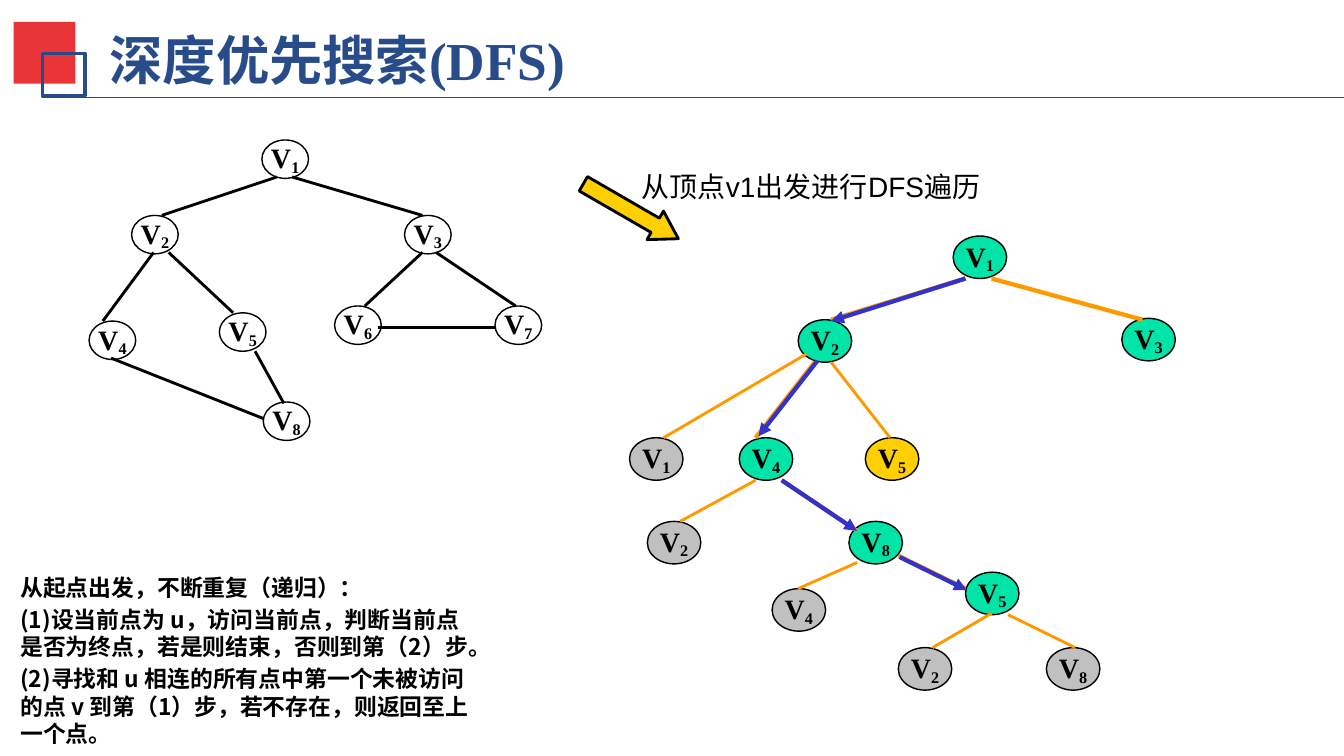
from lxml import etree
from pptx import Presentation
from pptx.dml.color import RGBColor
from pptx.enum.shapes import MSO_CONNECTOR, MSO_SHAPE
from pptx.enum.text import MSO_ANCHOR, MSO_AUTO_SIZE, PP_ALIGN
from pptx.oxml.ns import qn
from pptx.util import Inches, Pt

RECTANGLE, OVAL, RIGHT_ARROW = MSO_SHAPE.RECTANGLE, MSO_SHAPE.OVAL, MSO_SHAPE.RIGHT_ARROW
STRAIGHT = MSO_CONNECTOR.STRAIGHT
MIDDLE, TOP = MSO_ANCHOR.MIDDLE, MSO_ANCHOR.TOP
CENTER, LEFT = PP_ALIGN.CENTER, PP_ALIGN.LEFT
NO_AUTOFIT = MSO_AUTO_SIZE.NONE

COLORS = {
    "navy": "284C8A", "red": "E93538", "black": "000000", "white": "FFFFFF",
    "visited": "00E4A8", "repeated": "C0C0C0", "pending": "FFCF01",
    "branch": "FF9900", "route": "3333CC",
}
SERIF, SANS, CJK = "Times New Roman", "Arial", "Noto Sans CJK SC"

GRAPH_NODES = [
    (1, 1.91, 1.02), (2, 0.96, 1.57), (3, 2.95, 1.57), (4, 0.65, 2.34),
    (5, 1.6, 2.28), (6, 2.44, 2.23), (7, 3.61, 2.23), (8, 1.92, 2.93),
]
GRAPH_EDGES = [
    (2.02, 1.29, 1.18, 1.57), (2.13, 1.29, 3.08, 1.57),
    (1.12, 1.84, 0.75, 2.34), (1.23, 1.84, 1.7, 2.28),
    (0.81, 2.61, 1.92, 3.05), (2.07, 2.94, 1.86, 2.56),
    (3.08, 1.84, 2.66, 2.23), (3.18, 1.84, 3.76, 2.23),
    (2.76, 2.39, 3.61, 2.39),
]
TREE_NODES = [
    (1, 6.95, 1.72, "visited"), (2, 5.82, 2.33, "visited"), (3, 8.18, 2.32, "visited"),
    (1, 4.59, 3.19, "repeated"), (4, 5.39, 3.19, "visited"), (5, 6.31, 3.19, "pending"),
    (2, 4.72, 3.8, "repeated"), (8, 6.19, 3.8, "visited"),
    (4, 5.63, 4.29, "repeated"), (5, 7.04, 4.17, "visited"),
    (2, 6.55, 4.72, "repeated"), (8, 7.63, 4.72, "repeated"),
]
TREE_BRANCHES = [
    (7.04, 2.03, 6.06, 2.33, 2.25), (7.23, 2.03, 8.33, 2.33, 2.25),
    (5.94, 2.64, 5.51, 3.19, 2.25), (5.88, 2.58, 4.84, 3.19, 1.5),
    (6.06, 2.64, 6.49, 3.19, 1.5), (5.7, 3.5, 6.25, 3.87, 2.25),
    (5.51, 3.5, 4.96, 3.8, 1.5), (6.55, 4.05, 7.04, 4.29, 2.25),
    (6.25, 4.1, 5.82, 4.29, 1.5), (7.23, 4.47, 6.8, 4.72, 1.5),
    (7.35, 4.48, 7.84, 4.72, 1.5),
]
DFS_ROUTE = [
    (7.04, 2.03, 6.06, 2.34), (5.96, 2.63, 5.53, 3.18),
    (5.7, 3.5, 6.25, 3.87), (6.56, 4.06, 7.05, 4.3),
]
STEPS = [
    "从起点出发，不断重复（递归）：",
    "(1)设当前点为 u，访问当前点，判断当前点是否为终点，若是则结束，否则到第（2）步。",
    "(2)寻找和 u 相连的所有点中第一个未被访问的点 v 到第（1）步，若不存在，则返回至上一个点。",
]


def color(name):
    return RGBColor.from_string(COLORS[name])


def apply(target, values):
    for attribute, value in values.items():
        setattr(target, attribute, value)


class Painter:
    def __init__(self, slide):
        self.slide = slide
        self.node_frame = {
            "margin_left": 0, "margin_right": 0, "margin_top": Inches(0.03),
            "margin_bottom": 0, "word_wrap": False, "vertical_anchor": MIDDLE,
        }

    def run(self, paragraph, text, font, size, bold, ink="black"):
        run = paragraph.add_run()
        run.text = text
        apply(run.font, {"name": font, "size": Pt(size), "bold": bold})
        run.font.color.rgb = color(ink)
        east_asian = etree.SubElement(run.font._element, qn("a:ea"))
        east_asian.set("typeface", CJK)
        return run

    def title(self, text, left, top, width, height):
        title = self.slide.shapes.title
        apply(title, {"left": Inches(left), "top": Inches(top),
                      "width": Inches(width), "height": Inches(height)})
        apply(title.text_frame, {
            "margin_left": Inches(0.07), "margin_right": Inches(0.07),
            "margin_top": Inches(0.04), "margin_bottom": Inches(0.04),
            "word_wrap": True, "auto_size": NO_AUTOFIT, "vertical_anchor": MIDDLE,
        })
        paragraph = title.text_frame.paragraphs[0]
        paragraph.alignment = LEFT
        self.run(paragraph, text, SERIF, 28, True, "navy")

    def shape(self, kind, left, top, width, height, fill=None, line=None, weight=0.75):
        shape = self.slide.shapes.add_shape(
            kind, Inches(left), Inches(top), Inches(width), Inches(height))
        shape.shadow.inherit = False
        if fill:
            shape.fill.solid()
            shape.fill.fore_color.rgb = color(fill)
        else:
            shape.fill.background()
        if line:
            shape.line.color.rgb = color(line)
            shape.line.width = Pt(weight)
        else:
            shape.line.fill.background()
        return shape

    def node(self, number, left, top, width, height, fill):
        node = self.shape(OVAL, left, top, width, height, fill, "black")
        apply(node.text_frame, self.node_frame)
        paragraph = node.text_frame.paragraphs[0]
        apply(paragraph, {"alignment": CENTER, "line_spacing": 0.72})
        self.run(paragraph, "V", SERIF, 14.7, True)
        subscript = self.run(paragraph, str(number), SERIF, 14.7, True)
        subscript.font._element.set("baseline", "-16000")

    def line(self, x1, y1, x2, y2, ink, weight, arrow=False):
        line = self.slide.shapes.add_connector(
            STRAIGHT, Inches(x1), Inches(y1), Inches(x2), Inches(y2))
        line.line.color.rgb = color(ink)
        line.line.width = Pt(weight)
        properties = line._element.spPr
        if arrow:
            etree.SubElement(properties.find(qn("a:ln")), qn("a:tailEnd")).set("type", "triangle")
        etree.SubElement(properties, qn("a:effectLst"))

    def text(self, texts, left, top, width, height, font, size, bold, spacing, hanging=0):
        box = self.slide.shapes.add_textbox(
            Inches(left), Inches(top), Inches(width), Inches(height))
        frame = box.text_frame
        apply(frame, {"word_wrap": True, "vertical_anchor": TOP})
        for index, text in enumerate(texts):
            paragraph = frame.add_paragraph() if index else frame.paragraphs[0]
            apply(paragraph, {"line_spacing": Pt(spacing),
                              "space_before": Pt(size * 0.2 if index else 0)})
            if hanging:
                properties = paragraph._p.get_or_add_pPr()
                properties.set("marL", str(Inches(hanging)))
                properties.set("indent", str(-Inches(hanging)))
            self.run(paragraph, text, font, size, bold)


def main():
    deck = Presentation()
    apply(deck, {"slide_width": Inches(9.8), "slide_height": Inches(5.51)})
    painter = Painter(deck.slides.add_slide(deck.slide_layouts[5]))

    painter.title("深度优先搜索(DFS)", 0.73, 0.16, 7.32, 0.55)
    painter.shape(RECTANGLE, 0.1, 0.16, 0.45, 0.45, fill="red")
    painter.shape(RECTANGLE, 0.31, 0.39, 0.31, 0.31, line="navy", weight=2)
    painter.line(0.38, 0.71, 9.8, 0.71, "navy", 0.75)

    painter.text(["从顶点v1出发进行DFS遍历"], 4.58, 1.19, 2.76, 0.34,
                 SANS, 14.7, False, 17.3, hanging=0.28)

    for number, left, top in GRAPH_NODES:
        painter.node(number, left, top, 0.34, 0.28, "white")
    for edge in GRAPH_EDGES:
        painter.line(*edge, "black", 1.5)

    pointer = painter.shape(RIGHT_ARROW, 4.2, 1.42, 0.8, 0.24, "pending", "black", 1.5)
    pointer.rotation = 30
    pointer.adjustments[1] = 0.81

    for number, left, top, state in TREE_NODES:
        painter.node(number, left, top, 0.39, 0.31, state)
    for x1, y1, x2, y2, weight in TREE_BRANCHES:
        painter.line(x1, y1, x2, y2, "branch", weight)
    for step in DFS_ROUTE:
        painter.line(*step, "route", 2.25, arrow=True)

    painter.text(STEPS, 0.05, 4.13, 3.56, 1.38, CJK, 12, True, 14.4)
    deck.save("out.pptx")


if __name__ == "__main__":
    main()
